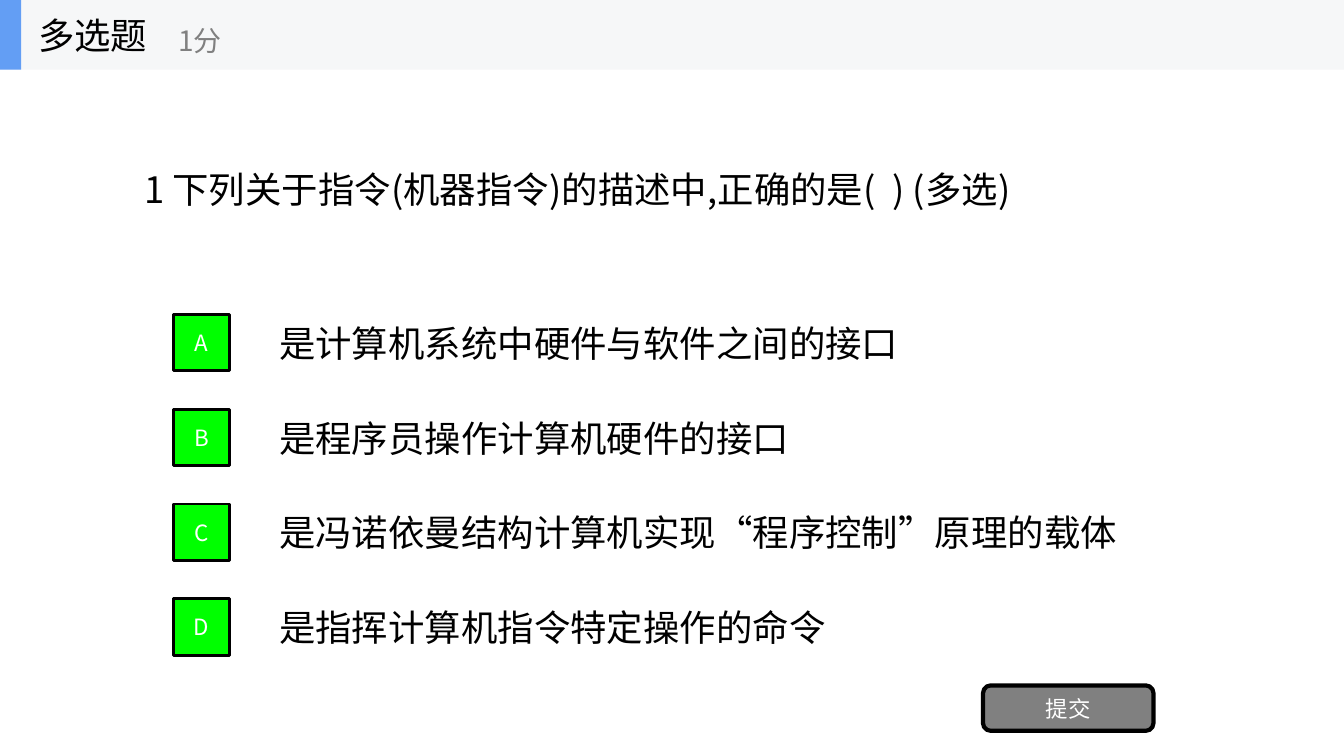
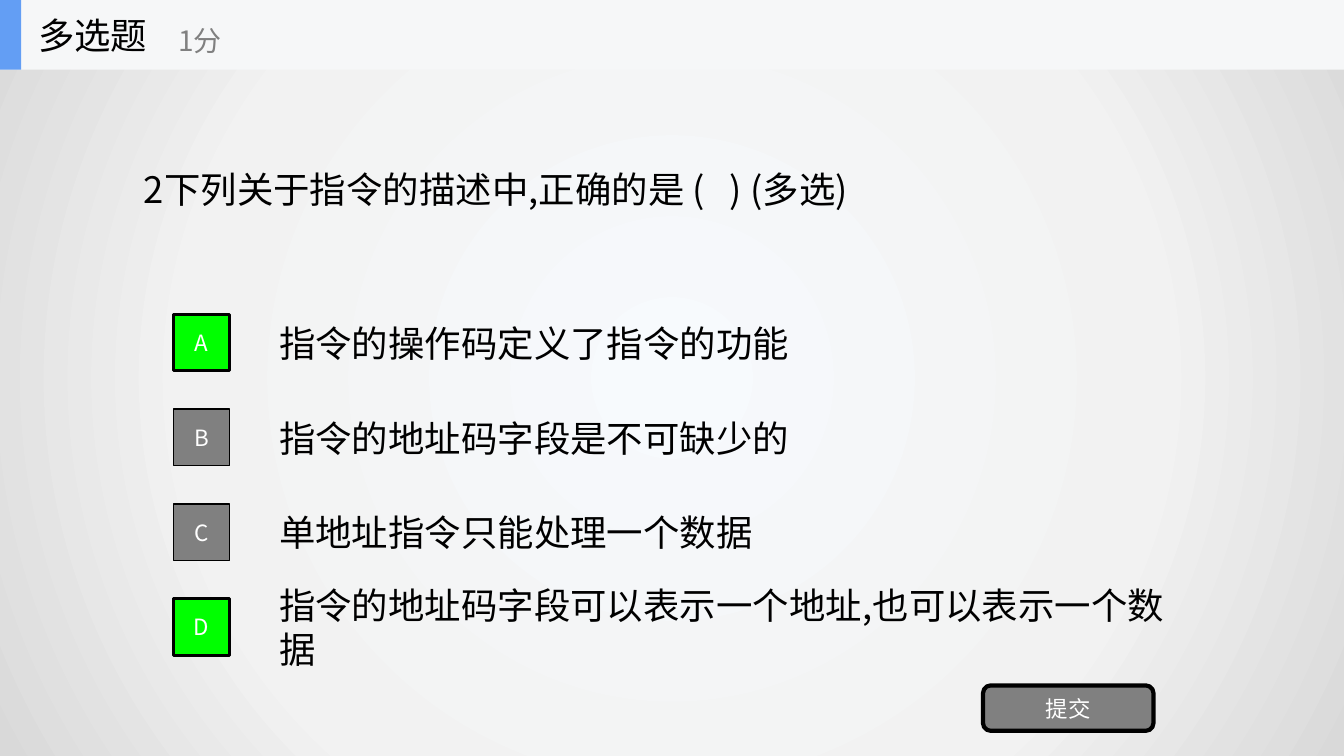
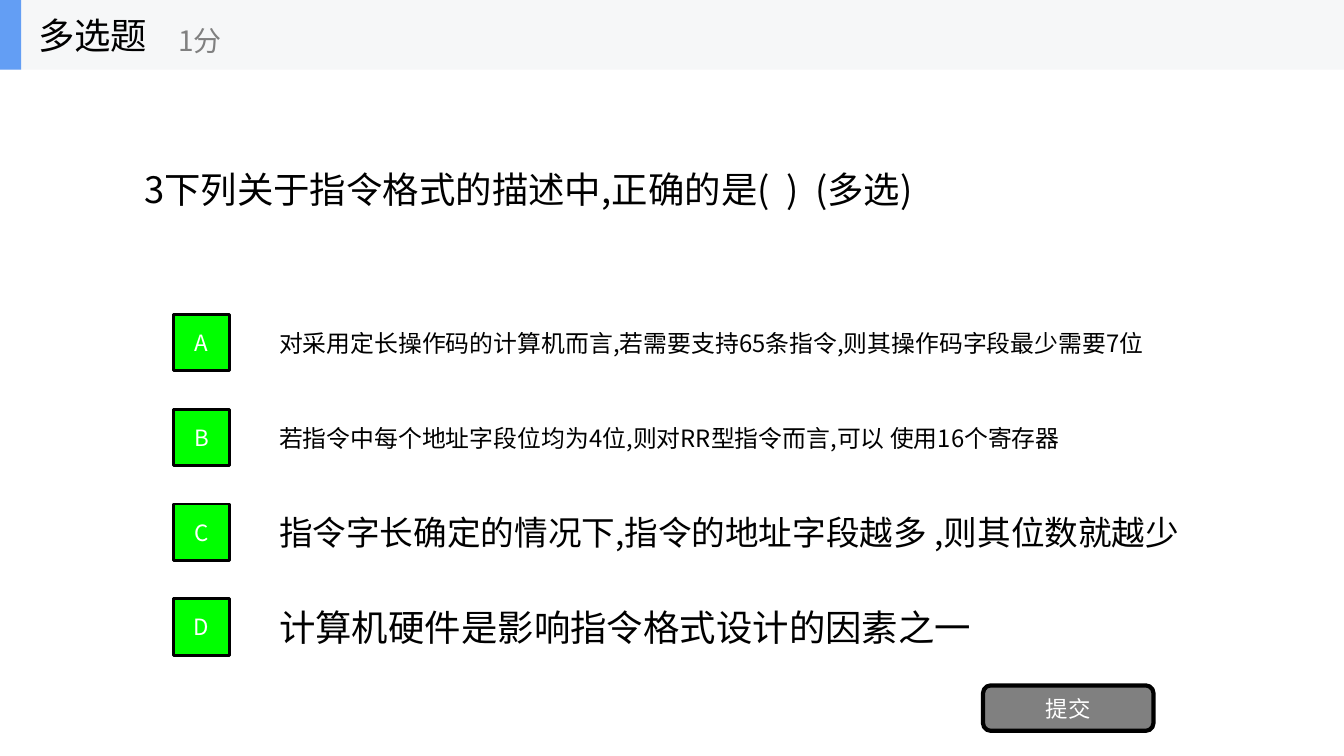
from lxml.etree import SubElement
from pptx import Presentation
from pptx.dml.color import RGBColor
from pptx.enum.shapes import MSO_SHAPE
from pptx.enum.text import MSO_ANCHOR, MSO_AUTO_SIZE, PP_ALIGN
from pptx.oxml import parse_xml
from pptx.oxml.ns import nsdecls, qn
from pptx.util import Inches, Pt

FONT = "Noto Sans CJK SC"
BLACK = RGBColor(0x00, 0x00, 0x00)
WHITE = RGBColor(0xFF, 0xFF, 0xFF)
GREY = RGBColor(0x80, 0x80, 0x80)
GREEN = RGBColor(0x00, 0xFF, 0x00)
BAND = RGBColor(0xF6, 0xF7, 0xF8)
ACCENT = RGBColor(0x63, 0x9E, 0xF4)
GRADIENT = (
    (0, RGBColor(0xF7, 0xFA, 0xFD)),
    (63, RGBColor(0xF2, 0xF2, 0xF2)),
    (100, RGBColor(0xD9, 0xD9, 0xD9)),
)

SLIDE_WIDTH = 13.33
BAND_HEIGHT = 0.69
QUESTION_CENTER = 1.87
FIRST_OPTION_CENTER = 3.4
OPTION_STEP = 0.94
MARKER_SIZE = 0.56
BOX_HEIGHTS = {26: 0.53, 24: 0.5, 17: 0.39}

QUESTIONS = [
    {
        "prompt": ("1 下列关于指令(机器指令)的描述中,正确的是(  ) (多选)", 8.98),
        "options": [
            ("是计算机系统中硬件与软件之间的接口", 6.45, 26),
            ("是程序员操作计算机硬件的接口", 5.36, 26),
            ("是冯诺依曼结构计算机实现“程序控制”原理的载体", 8.61, 26),
            ("是指挥计算机指令特定操作的命令", 5.72, 26),
        ],
        "answers": "ABCD",
        "shaded": False,
    },
    {
        "prompt": ("2下列关于指令的描述中,正确的是 (   ) (多选)", 7.4),
        "options": [
            ("指令的操作码定义了指令的功能", 5.36, 26),
            ("指令的地址码字段是不可缺少的", 5.36, 26),
            ("单地址指令只能处理一个数据", 5, 26),
            ("指令的地址码字段可以表示一个地址,也可以表示一个数据", 9.33, 26),
        ],
        "answers": "AD",
        "shaded": True,
    },
    {
        "prompt": ("3下列关于指令格式的描述中,正确的是(  )  (多选)", 8.02),
        "options": [
            ("对采用定长操作码的计算机而言,若需要支持65条指令,则其操作码字段最少需要7位", 8.83, 17),
            ("若指令中每个地址字段位均为4位,则对RR型指令而言,可以 使用16个寄存器", 8.03, 17),
            ("指令字长确定的情况下,指令的地址字段越多 ,则其位数就越少", 9.15, 24),
            ("计算机硬件是影响指令格式设计的因素之一", 7.17, 26),
        ],
        "answers": "ABCD",
        "shaded": False,
    },
]


class QuizDeck:
    def __init__(self):
        self.presentation = Presentation()
        self.presentation.slide_width = Inches(SLIDE_WIDTH)
        self.presentation.slide_height = Inches(7.5)
        self.slide = None

    def add_slide(self):
        layout = self.presentation.slide_layouts[6]
        self.slide = self.presentation.slides.add_slide(layout)

    def shade_background(self):
        stops = "".join(
            f'<a:gs pos="{position * 1000}"><a:srgbClr val="{color}"/></a:gs>'
            for position, color in GRADIENT
        )
        background = parse_xml(
            f'<p:bg {nsdecls("p", "a")}><p:bgPr><a:gradFill rotWithShape="1">'
            f'<a:gsLst>{stops}</a:gsLst><a:path path="circle">'
            '<a:fillToRect l="50000" t="50000" r="50000" b="50000"/></a:path>'
            "</a:gradFill><a:effectLst/></p:bgPr></p:bg>"
        )
        self.slide.element.cSld.insert(0, background)

    def set_text(self, shape, text, size, color, align=PP_ALIGN.LEFT):
        text_frame = shape.text_frame
        text_frame.text = text
        text_frame.vertical_anchor = MSO_ANCHOR.MIDDLE
        paragraph = text_frame.paragraphs[0]
        paragraph.alignment = align
        for run in paragraph.runs:
            run.font.size = Pt(size)
            run.font.color.rgb = color
            run.font.name = FONT
            properties = run._r.get_or_add_rPr()
            SubElement(properties, qn("a:ea")).set("typeface", FONT)

    def add_block(self, shapes, box, fill, kind=MSO_SHAPE.RECTANGLE, line_width=0):
        shape = shapes.add_shape(kind, *map(Inches, box))
        shape.shadow.inherit = False
        shape.fill.solid()
        shape.fill.fore_color.rgb = fill
        if line_width:
            shape.line.color.rgb = BLACK
            shape.line.width = Pt(line_width)
        else:
            shape.line.fill.background()
        return shape

    def add_button(self, box, text, fill, line_width, kind=MSO_SHAPE.RECTANGLE):
        button = self.add_block(self.slide.shapes, box, fill, kind, line_width)
        self.set_text(button, text, 16, WHITE, PP_ALIGN.CENTER)

    def add_label(self, shapes, box, text, size, color):
        label = shapes.add_textbox(*map(Inches, box))
        label.text_frame.word_wrap = False
        self.set_text(label, text, size, color)

    def add_body(self, left, center, width, text, size):
        height = BOX_HEIGHTS[size]
        box = (left, center - height / 2, width, height)
        body = self.slide.shapes.add_textbox(*map(Inches, box))
        body.text_frame.word_wrap = True
        body.text_frame.auto_size = MSO_AUTO_SIZE.SHAPE_TO_FIT_TEXT
        self.set_text(body, text, size, BLACK)

    def add_option(self, index, letter, option, correct):
        text, width, size = option
        center = FIRST_OPTION_CENTER + index * OPTION_STEP
        self.add_body(2.67, center, width, text, size)
        marker = (1.72, center - MARKER_SIZE / 2, MARKER_SIZE, MARKER_SIZE)
        self.add_button(marker, letter, GREEN if correct else GREY, 2 if correct else 1)

    def add_header(self):
        shapes = self.slide.shapes.add_group_shape().shapes
        self.add_block(shapes, (0, 0, SLIDE_WIDTH, BAND_HEIGHT), BAND)
        self.add_block(shapes, (0, 0, 0.21, BAND_HEIGHT), ACCENT)
        self.add_label(shapes, (0.28, 0, 2.08, BAND_HEIGHT), "多选题", 26, BLACK)
        self.add_label(shapes, (1.67, 0.12, 2.5, 0.56), "1分", 20, GREY)

    def add_question(self, question):
        self.add_slide()
        if question["shaded"]:
            self.shade_background()
        prompt, width = question["prompt"]
        self.add_body(1.33, QUESTION_CENTER, width, prompt, 26)
        for index, (letter, option) in enumerate(zip("ABCD", question["options"])):
            self.add_option(index, letter, option, letter in question["answers"])
        submit = (9.75, 6.8, 1.69, 0.45)
        self.add_button(submit, "提交", GREY, 3, MSO_SHAPE.ROUNDED_RECTANGLE)
        self.add_header()


def main():
    deck = QuizDeck()
    for question in QUESTIONS:
        deck.add_question(question)
    deck.presentation.save("out.pptx")


if __name__ == "__main__":
    main()
